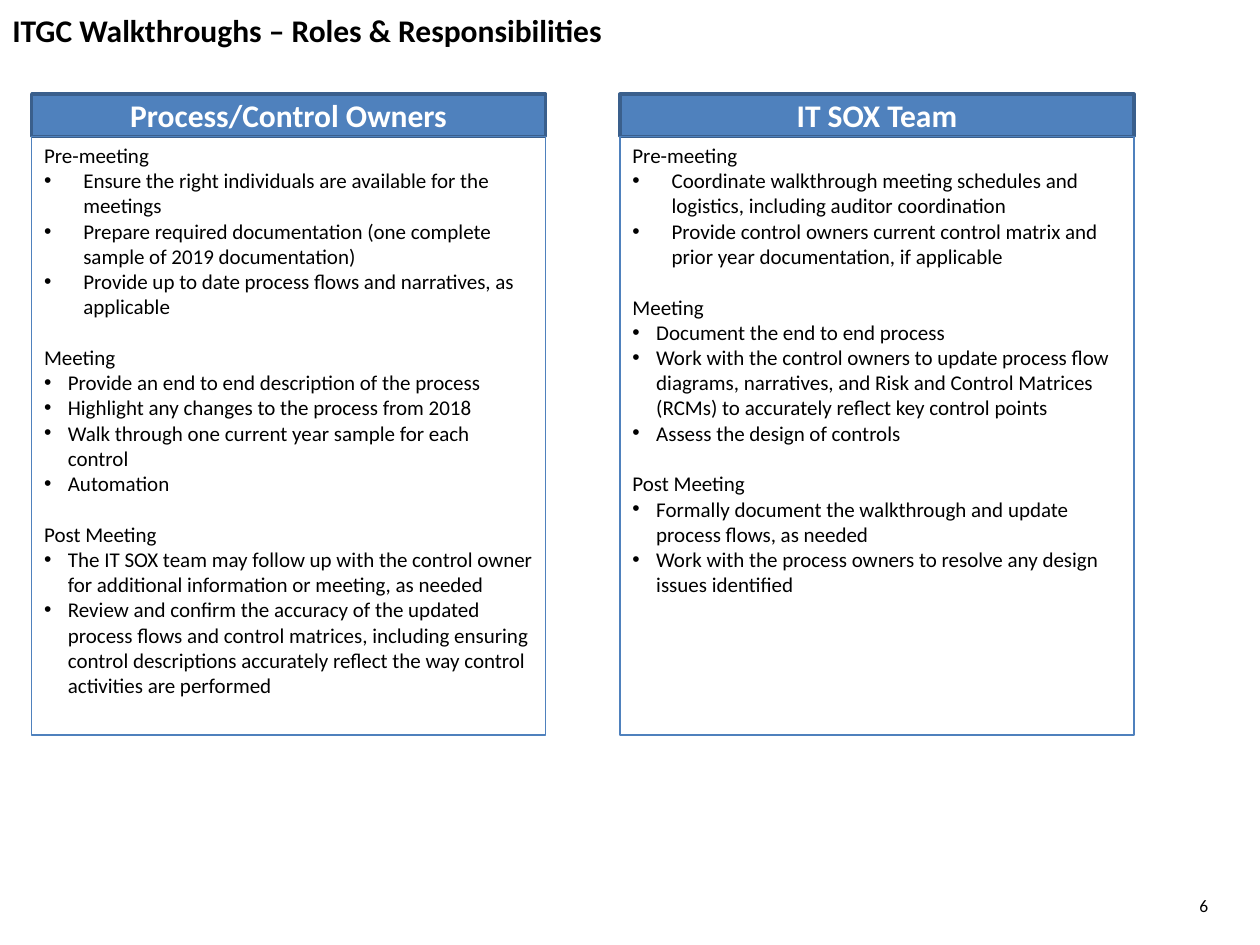
from dataclasses import dataclass
from typing import NamedTuple

from lxml.etree import SubElement
from pptx import Presentation
from pptx.dml.color import RGBColor as Color
from pptx.enum.shapes import MSO_SHAPE as Preset
from pptx.enum.text import MSO_ANCHOR as Anchor, PP_ALIGN as Align
from pptx.oxml.ns import qn
from pptx.util import Cm, Pt


@dataclass(frozen=True)
class Theme:
    font: str = "Calibri"
    ink: str = "000000"
    paper: str = "FFFFFF"
    accent: str = "4F81BD"
    accent_edge: str = "3A5F8C"
    heading: float = 18
    body: float = 12
    footer: float = 10
    section_gap: float = 14.6
    heading_edge: float = 2
    body_edge: float = 0.75


class Box(NamedTuple):
    left: float
    top: float
    width: float
    height: float

    def lengths(self):
        return [Cm(value) for value in self]


THEME = Theme()
WIDE_INDENT, NARROW_INDENT = 0.79, 0.48
HEADER_HEIGHT = 0.85
PANEL_LEFT, PANEL_STEP = 0.64, 11.86

PANELS = [
    ("Process/Control Owners", [
        ("Pre-meeting", WIDE_INDENT, [
            "Ensure the right individuals are available for the meetings",
            "Prepare required documentation (one complete sample of 2019 documentation)",
            "Provide up to date process flows and narratives, as applicable",
        ]),
        ("Meeting", NARROW_INDENT, [
            "Provide an end to end description of the process",
            "Highlight any changes to the process from 2018",
            "Walk through one current year sample for each control",
            "Automation",
        ]),
        ("Post Meeting", NARROW_INDENT, [
            "The IT SOX team may follow up with the control owner for additional "
            "information or meeting, as needed",
            "Review and confirm the accuracy of the updated process flows and control "
            "matrices, including ensuring control descriptions accurately reflect the "
            "way control activities are performed",
        ]),
    ]),
    ("IT SOX Team", [
        ("Pre-meeting", WIDE_INDENT, [
            "Coordinate walkthrough meeting schedules and logistics, including "
            "auditor coordination",
            "Provide control owners current control matrix and prior year "
            "documentation, if applicable",
        ]),
        ("Meeting", NARROW_INDENT, [
            "Document the end to end process",
            "Work with the control owners to update process flow diagrams, narratives, "
            "and Risk and Control Matrices (RCMs) to accurately reflect key control points",
            "Assess the design of controls",
        ]),
        ("Post Meeting", NARROW_INDENT, [
            "Formally document the walkthrough and update process flows, as needed",
            "Work with the process owners to resolve any design issues identified",
        ]),
    ]),
]


def add_span(para, text, size, color=THEME.ink, bold=False):
    span = para.add_run()
    span.text = text
    span.font.name = THEME.font
    span.font.size = Pt(size)
    span.font.bold = bold
    span.font.color.rgb = Color.from_string(color)


def add_bullet(para, indent):
    properties = para._p.get_or_add_pPr()
    properties.set("marL", str(Cm(indent)))
    properties.set("indent", str(-Cm(indent)))
    SubElement(properties, qn("a:buFont"), typeface="Arial")
    SubElement(properties, qn("a:buChar"), char="•")


def add_rectangle(page, box, edge, edge_width, fill=None):
    shape = page.shapes.add_shape(Preset.RECTANGLE, *box.lengths())
    shape.shadow.inherit = False
    if fill:
        shape.fill.solid()
        shape.fill.fore_color.rgb = Color.from_string(fill)
    else:
        shape.fill.background()
    shape.line.color.rgb = Color.from_string(edge)
    shape.line.width = Pt(edge_width)
    shape.text_frame.word_wrap = True
    return shape.text_frame


def add_label(page, box, text, size, bold=False):
    frame = page.shapes.add_textbox(*box.lengths()).text_frame
    frame.word_wrap = True
    add_span(frame.paragraphs[0], text, size, bold=bold)


def add_panel_header(page, box, heading):
    frame = add_rectangle(page, box, THEME.accent_edge, THEME.heading_edge, THEME.accent)
    frame.vertical_anchor = Anchor.MIDDLE
    para = frame.paragraphs[0]
    para.alignment = Align.CENTER
    add_span(para, heading, THEME.heading, THEME.paper, bold=True)


def add_panel_body(page, box, sections):
    frame = add_rectangle(page, box, THEME.accent, THEME.body_edge)
    frame.vertical_anchor = Anchor.TOP
    for number, (stage, indent, duties) in enumerate(sections):
        para = frame.add_paragraph() if number else frame.paragraphs[0]
        para.alignment = Align.LEFT
        if number:
            para.space_before = Pt(THEME.section_gap)
        add_span(para, stage, THEME.body)
        for duty in duties:
            para = frame.add_paragraph()
            para.alignment = Align.LEFT
            add_bullet(para, indent)
            add_span(para, duty, THEME.body)


def add_panel(page, box, heading, sections):
    add_panel_header(page, box._replace(height=HEADER_HEIGHT), heading)
    body = box._replace(top=box.top + HEADER_HEIGHT, height=box.height - HEADER_HEIGHT)
    add_panel_body(page, body, sections)


def add_roles_page(deck):
    page = deck.slides.add_slide(deck.slide_layouts[6])
    for column, (heading, sections) in enumerate(PANELS):
        box = Box(PANEL_LEFT + column * PANEL_STEP, 1.9, 10.36, 12.92)
        add_panel(page, box, heading, sections)
    add_label(page, Box(0, 0.1, 24.31, 1.03),
              "ITGC Walkthroughs – Roles & Responsibilities", THEME.heading, bold=True)
    add_label(page, Box(23.93, 17.91, 0.99, 0.69), "6", THEME.footer)


deck = Presentation()
deck.slide_width, deck.slide_height = Cm(25.4), Cm(19.05)
add_roles_page(deck)
deck.save("out.pptx")
